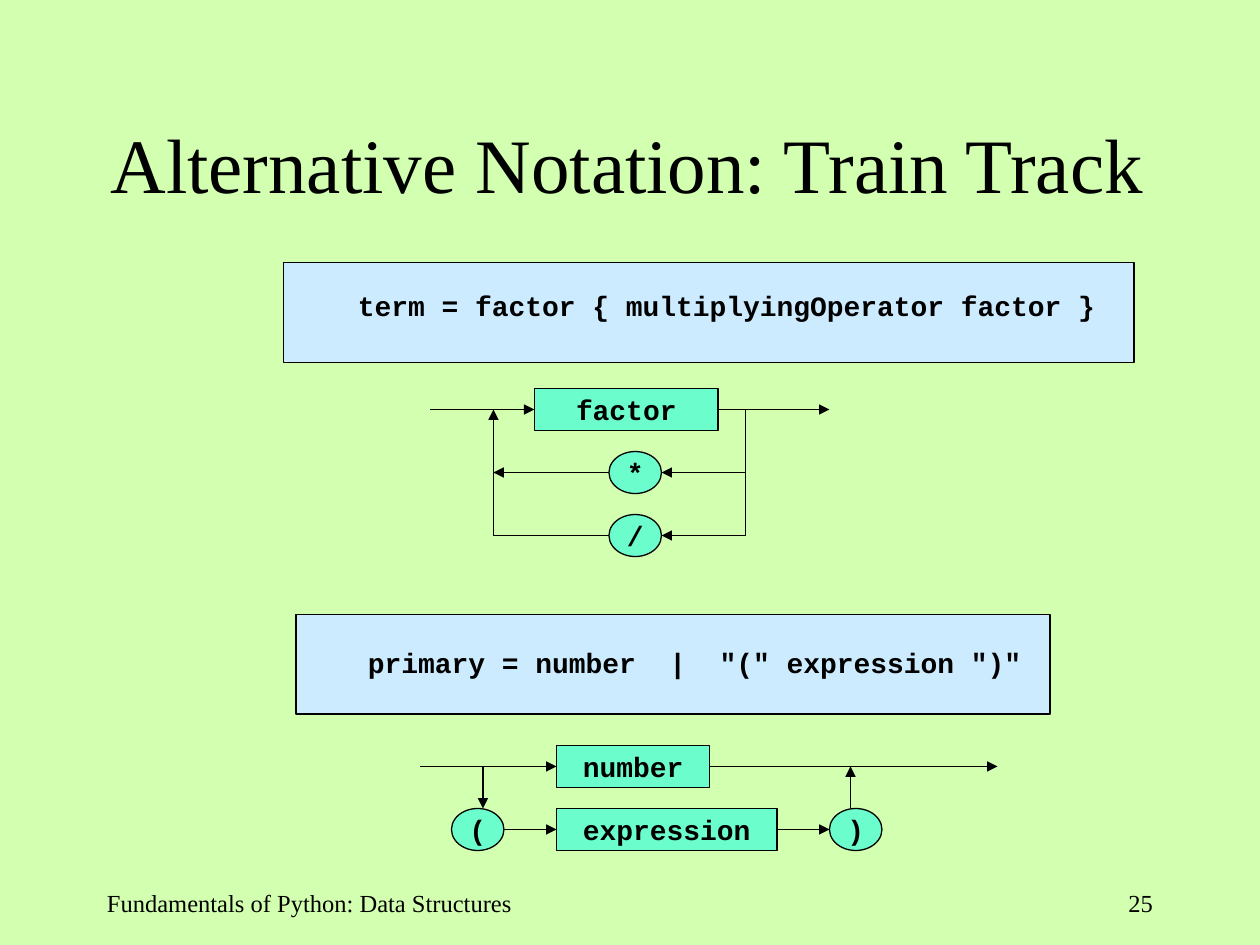
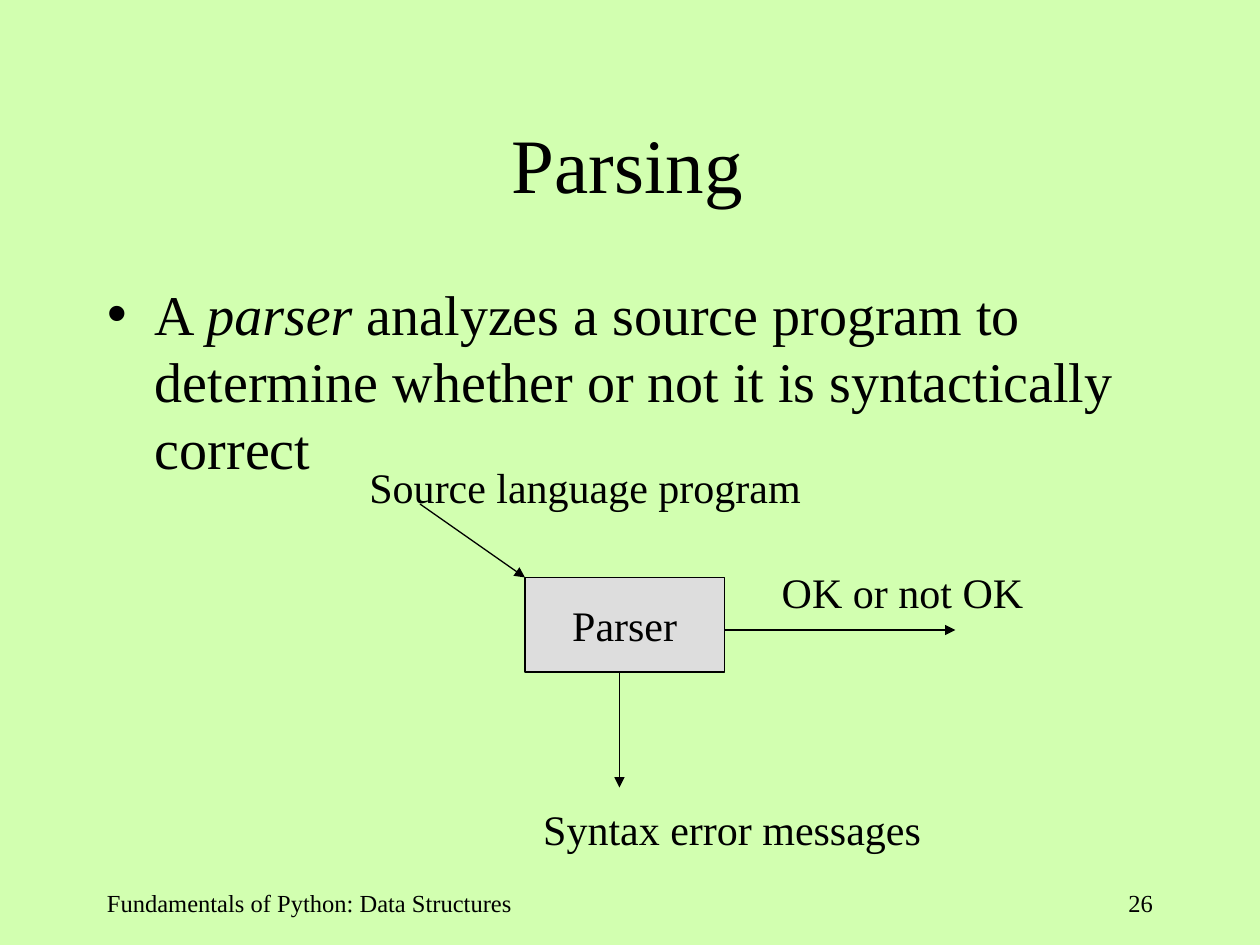
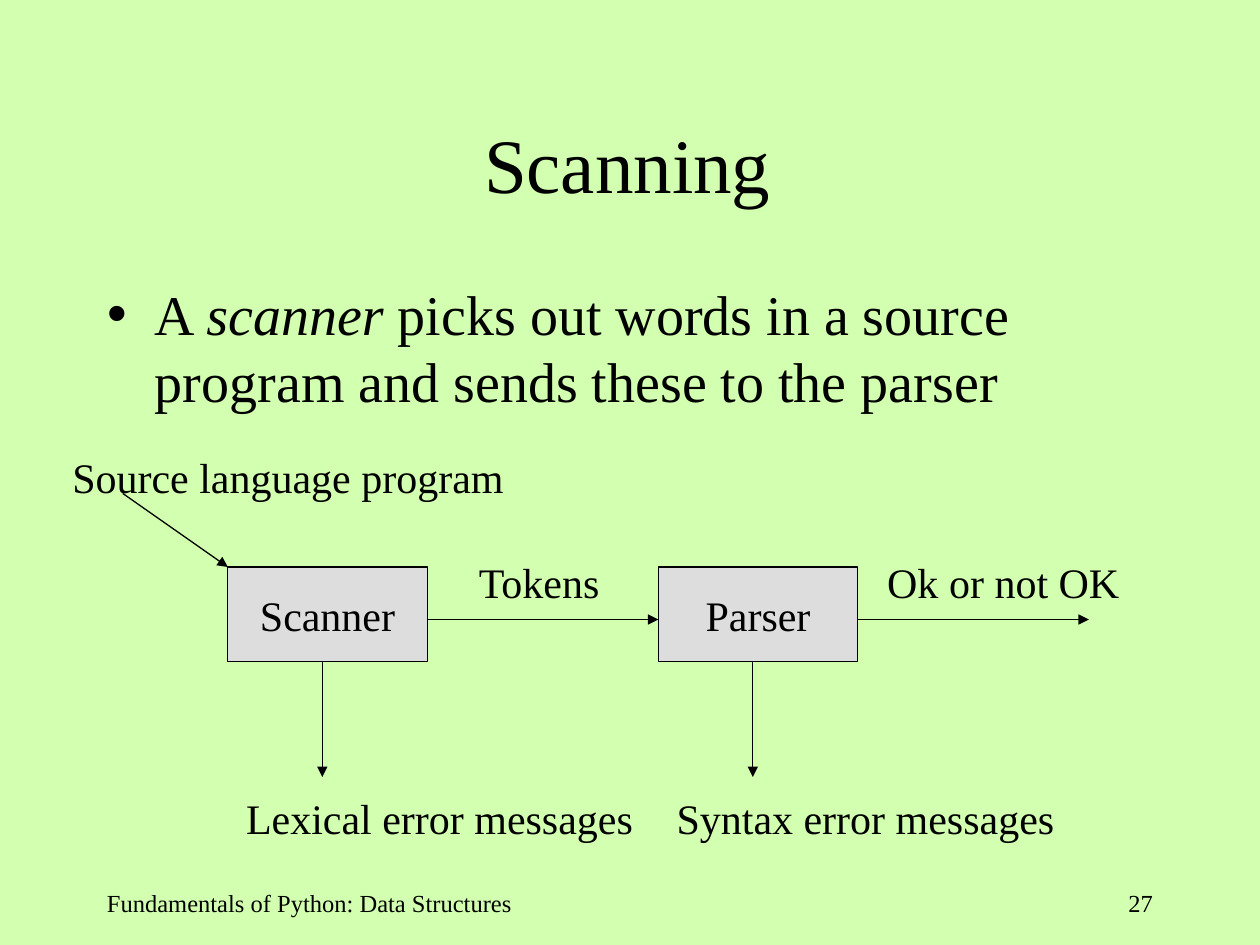
from collections import namedtuple

from lxml import etree
from pptx import Presentation
from pptx import util as u
from pptx.dml.color import RGBColor
from pptx.enum import shapes, text
from pptx.oxml import ns

PALE_GREEN = RGBColor(0xD2, 0xFF, 0xB0)
PALE_BLUE = RGBColor(0xCD, 0xEB, 0xFE)
MINT = RGBColor(0x6B, 0xFE, 0xCC)
GREY = RGBColor(0xDD, 0xDD, 0xDD)
BLACK = RGBColor(0, 0, 0)

SERIF = "Times New Roman"
MONO = "Courier New"
FOOTER = "Fundamentals of Python: Data Structures"
FIRST_NUMBER = 25

WIDTH, HEIGHT = u.Inches(10), u.Inches(7.5)
COLUMNS, ROWS = 120, 90
LEFT, CENTER, RIGHT = text.PP_ALIGN.LEFT, text.PP_ALIGN.CENTER, text.PP_ALIGN.RIGHT
TOP, MIDDLE = text.MSO_ANCHOR.TOP, text.MSO_ANCHOR.MIDDLE
RECTANGLE, OVAL = shapes.MSO_SHAPE.RECTANGLE, shapes.MSO_SHAPE.OVAL
LEFT_SIDE, RIGHT_SIDE = 1, 3

Port = namedtuple("Port", "shape side")


def grid(column, row):
    return round(WIDTH * column / COLUMNS), round(HEIGHT * row / ROWS)


def place(shape, column, row, columns, rows):
    shape.left, shape.top = grid(column, row)
    shape.width, shape.height = grid(columns, rows)


def set_frame(frame, margins, anchor=TOP, wrap=True):
    """Margins are left, top, right and bottom, in inches."""
    frame.auto_size = text.MSO_AUTO_SIZE.NONE
    frame.word_wrap = wrap
    frame.vertical_anchor = anchor
    (frame.margin_left, frame.margin_top,
     frame.margin_right, frame.margin_bottom) = map(u.Inches, margins)


def style(paragraph, size, font=SERIF, bold=False, align=LEFT):
    paragraph.alignment = align
    for run in paragraph.runs:
        run.font.name = font
        run.font.size = u.Pt(size)
        run.font.bold = bold
        run.font.color.rgb = BLACK


def add_label(slide, words, area, size=24, align=LEFT, margins=(0.04, 0, 0, 0)):
    label = slide.shapes.add_textbox(0, 0, 0, 0)
    place(label, *area)
    set_frame(label.text_frame, margins)
    label.text_frame.text = words
    style(label.text_frame.paragraphs[0], size, align=align)


def add_node(slide, words, area, fill, outline=RECTANGLE, size=16, font=MONO,
             bold=True, align=CENTER, anchor=MIDDLE, margins=(0, 0, 0, 0)):
    node = slide.shapes.add_shape(outline, 0, 0, 0, 0)
    place(node, *area)
    node.shadow.inherit = False
    node.fill.solid()
    node.fill.fore_color.rgb = fill
    node.line.color.rgb = BLACK
    node.line.width = u.Pt(0.75)
    set_frame(node.text_frame, margins, anchor, wrap=False)
    node.text_frame.text = words
    style(node.text_frame.paragraphs[0], size, font, bold, align)
    return node


def add_rule(slide, words, area, margins):
    add_node(slide, words, area, PALE_BLUE, align=LEFT, anchor=TOP, margins=margins)


def add_symbol(slide, words, column, row):
    add_node(slide, words, (column, row, 5, 4), MINT, OVAL)


def add_track(slide, start, end, arrow=True):
    """Each end is a (column, row) point or a Port on a rectangle."""
    points = [(0, 0) if isinstance(stop, Port) else grid(*stop) for stop in (start, end)]
    track = slide.shapes.add_connector(shapes.MSO_CONNECTOR.STRAIGHT, *points[0], *points[1])
    if isinstance(start, Port):
        track.begin_connect(*start)
    if isinstance(end, Port):
        track.end_connect(*end)
    track.line.color.rgb = BLACK
    track.line.width = u.Pt(0.75)
    if arrow:
        head = etree.SubElement(track.line._get_or_add_ln(), ns.qn("a:tailEnd"))
        head.set("type", "triangle")
    etree.SubElement(track._element.spPr, ns.qn("a:effectLst"))


def new_slide(prs, heading, layout="Title Only"):
    slide = prs.slides.add_slide(prs.slide_layouts.get_by_name(layout))
    title = slide.shapes.title
    place(title, 9, 8, 102, 15)
    set_frame(title.text_frame, (0.1, 0.05, 0.14, 0.05), MIDDLE)
    title.text_frame.text = heading
    style(title.text_frame.paragraphs[0], 44, align=CENTER)

    number = FIRST_NUMBER + len(prs.slides) - 1
    margins = (0.1, 0.05, 0.1, 0.05)
    add_label(slide, FOOTER, (9, 84, 45, 6), 14, margins=margins)
    add_label(slide, str(number), (86, 84, 25, 6), 14, RIGHT, margins)
    return slide


def definition_slide(prs, heading, term, meaning):
    """A slide whose bullet reads 'A term meaning', with the term in italics."""
    slide = new_slide(prs, heading, "Title and Content")
    body = slide.placeholders[1]
    place(body, 9, 26, 102, 54)
    set_frame(body.text_frame, (0.1, 0.05, 0.14, 0.05))
    bullet = body.text_frame.paragraphs[0]
    for words in ("A ", term, meaning):
        bullet.add_run().text = words
    style(bullet, 32)
    bullet.runs[1].font.italic = True
    bullet.space_before = u.Pt(8)
    properties = bullet._p.get_or_add_pPr()
    indent = u.Inches(0.38)
    properties.set("marL", str(indent))
    properties.set("indent", str(-indent))
    return slide


def add_source(slide, column, row):
    """The program that enters the stage whose corner is given."""
    add_label(slide, "Source language program", (column - 15.3, row - 11, 45, 5))
    add_track(slide, (column - 10, row - 7), (column, row))


def add_stage(slide, name, column, row, errors, output, output_center):
    """A processing box with its error arrow below and its output on the right."""
    add_node(slide, name, (column, row, 19, 9), GREY, size=24, font=SERIF, bold=False)
    add_track(slide, (column + 9, row + 9), (column + 9, row + 20))
    add_label(slide, errors, (column + 1.25, row + 21.5, 39, 5))
    add_track(slide, (column + 19, row + 5), (column + 41, row + 5))
    add_label(slide, output, (column + output_center - 14, row - 1, 28, 5), align=CENTER)


def add_term_track(slide):
    add_rule(slide, "term = factor { multiplyingOperator factor }",
             (27, 25, 81, 9.5), (0.59, 0.21, 0, 0))
    entry, split, main_row = 47, 71, 39
    factor = add_node(slide, "factor", (50.9, 37, 17.5, 4), MINT)
    add_track(slide, (41, main_row), Port(factor, LEFT_SIDE))
    add_track(slide, Port(factor, RIGHT_SIDE), (79, main_row))
    add_track(slide, (split, main_row), (split, 51), arrow=False)
    add_track(slide, (entry, 51), (entry, main_row))
    for operator, row, arrow in (("*", 45, True), ("/", 51, False)):
        add_symbol(slide, operator, 58, row - 2)
        add_track(slide, (split, row), (63, row))
        add_track(slide, (58, row), (entry, row), arrow)


def add_primary_track(slide):
    add_rule(slide, 'primary = number  |  "(" expression ")"',
             (28.2, 58.5, 71.8, 9.5), (0.57, 0.25, 0, 0))
    main_row, branch_row = 73, 79
    number = add_node(slide, "number", (53, main_row - 2, 14.6, 4), MINT)
    expression = add_node(slide, "expression", (53, branch_row - 2, 21, 4), MINT)
    add_symbol(slide, "(", 43, branch_row - 2)
    add_symbol(slide, ")", 79, branch_row - 2)
    add_track(slide, (40, main_row), Port(number, LEFT_SIDE))
    add_track(slide, Port(number, RIGHT_SIDE), (95, main_row))
    add_track(slide, (46, main_row), (46, branch_row - 2))
    add_track(slide, (48, branch_row), Port(expression, LEFT_SIDE))
    add_track(slide, Port(expression, RIGHT_SIDE), (79, branch_row))
    add_track(slide, (81, branch_row - 2), (81, main_row))


def main():
    prs = Presentation()
    prs.slide_width, prs.slide_height = WIDTH, HEIGHT
    backdrop = prs.slide_master.background.fill
    backdrop.solid()
    backdrop.fore_color.rgb = PALE_GREEN

    notation = new_slide(prs, "Alternative Notation: Train Track")
    add_term_track(notation)
    add_primary_track(notation)

    parsing = definition_slide(
        prs, "Parsing", "parser",
        " analyzes a source program to determine whether or not it is syntactically correct")
    add_source(parsing, 50, 55)
    add_stage(parsing, "Parser", 50, 55, "Syntax error messages", "OK or not OK", 35.7)

    scanning = definition_slide(
        prs, "Scanning", "scanner",
        " picks out words in a source program and sends these to the parser")
    scanner, row = 21.7, 54
    add_source(scanning, scanner, row)
    add_stage(scanning, "Scanner", scanner, row, "Lexical error messages", "Tokens", 29.4)
    add_stage(scanning, "Parser", scanner + 41, row, "Syntax error messages",
              "Ok or not OK", 32.6)

    prs.save("out.pptx")


if __name__ == "__main__":
    main()
